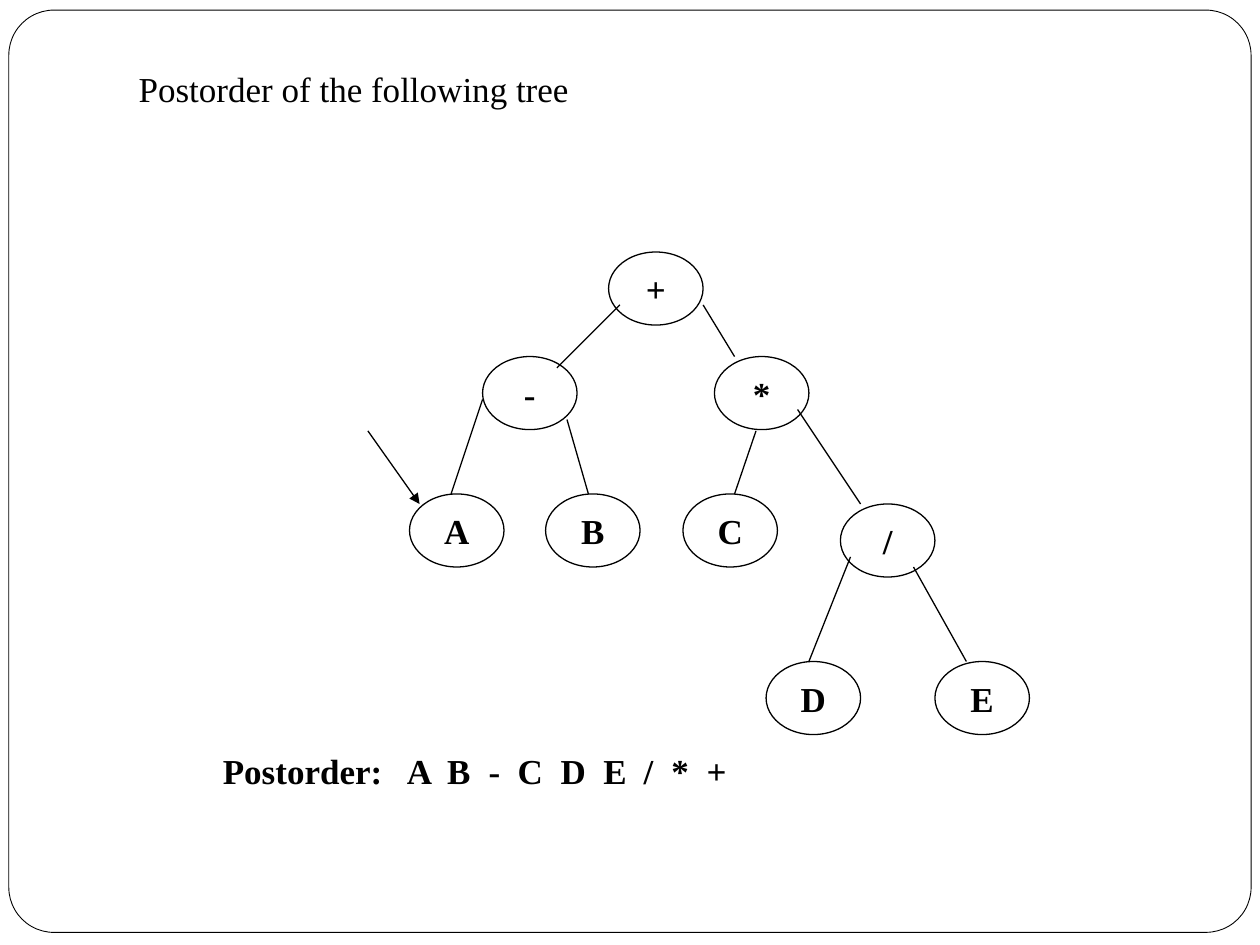
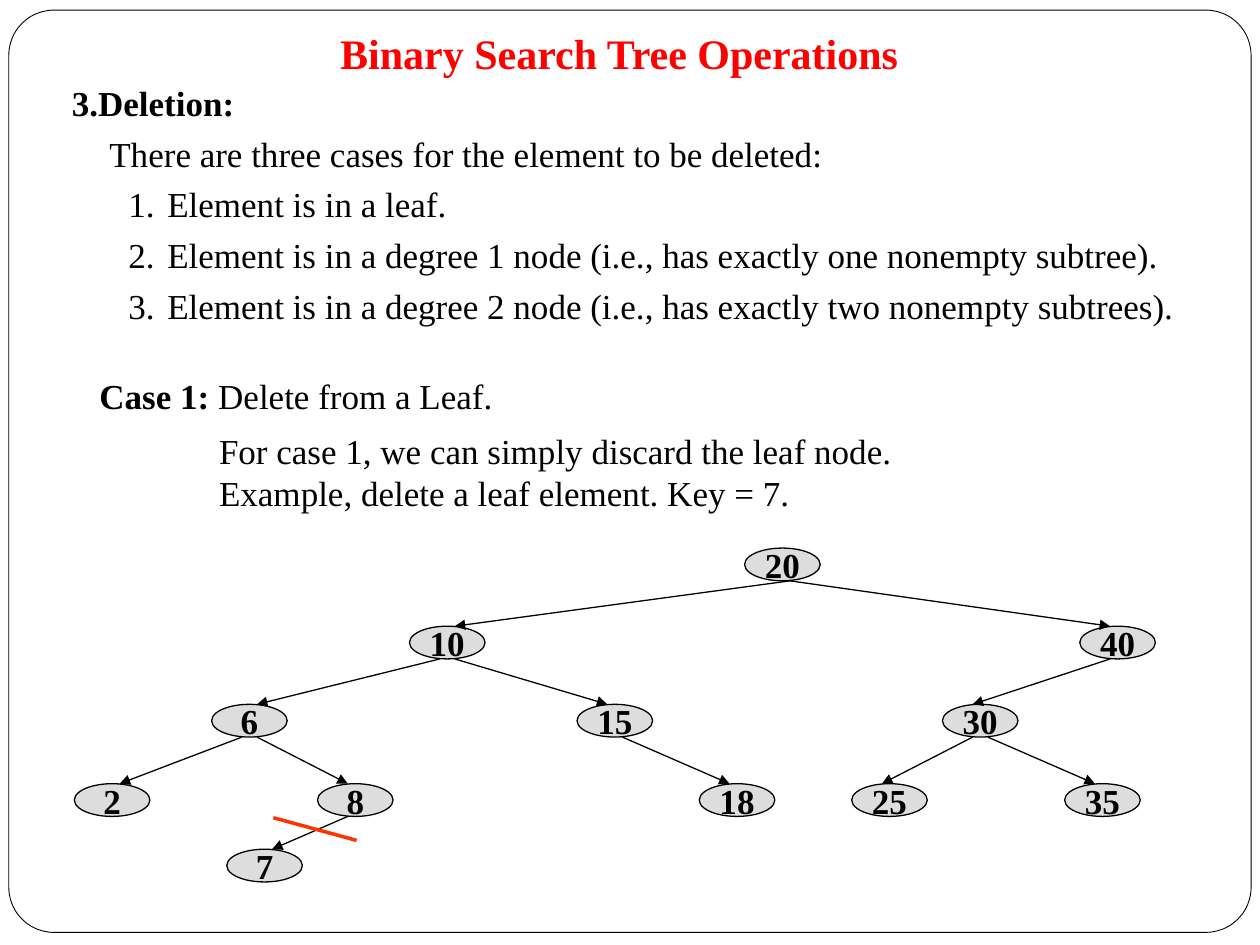
import pptx
import pptx.dml.color
import pptx.enum.shapes
import pptx.enum.text
import pptx.oxml
import pptx.oxml.ns
import pptx.util
from lxml import etree

Inches = pptx.util.Inches
Pt = pptx.util.Pt
SHAPE = pptx.enum.shapes.MSO_SHAPE
ALIGN = pptx.enum.text.PP_ALIGN
ANCHOR = pptx.enum.text.MSO_ANCHOR

FONT = "Times New Roman"
BLACK, WHITE, GREY = "000000", "FFFFFF", "DDDDDD"
HEADING_RED, CUT_RED = "FF0000", "FF3300"
TEXT_SIZE = 20
TITLE_ONLY = 5


def color(hex_string):
    return pptx.dml.color.RGBColor.from_string(hex_string)


def add_xml(parent, tag, **attributes):
    return etree.SubElement(parent, pptx.oxml.ns.qn(tag), attributes)


def add_run(paragraph, text, bold=False, size=TEXT_SIZE, ink=BLACK):
    run = paragraph.add_run()
    run.text = text
    run.font.name = FONT
    run.font.size = Pt(size)
    run.font.bold = bold
    run.font.color.rgb = color(ink)


def place(shape, left, top, width, height):
    shape.left, shape.top = Inches(left), Inches(top)
    shape.width, shape.height = Inches(width), Inches(height)


def outline(shape, width):
    shape.shadow.inherit = False
    shape.line.color.rgb = color(BLACK)
    shape.line.width = Pt(width)


def add_framed_slide(presentation):
    slide = presentation.slides.add_slide(presentation.slide_layouts[TITLE_ONLY])
    frame = slide.shapes.add_shape(
        SHAPE.ROUNDED_RECTANGLE, Inches(0.07), Inches(0.08), Inches(9.86), Inches(7.32))
    frame.adjustments[0] = 0.049
    frame.fill.background()
    outline(frame, 0.5)
    return slide


def set_title(slide, text, box, bold=False):
    title = slide.shapes.title
    place(title, *box)
    text_frame = title.text_frame
    text_frame.auto_size = pptx.enum.text.MSO_AUTO_SIZE.NONE
    text_frame.vertical_anchor = ANCHOR.BOTTOM
    text_frame.margin_bottom = Inches(0.1)
    paragraph = text_frame.paragraphs[0]
    paragraph.alignment = ALIGN.LEFT
    add_run(paragraph, text, bold)


def add_text_box(slide, box, anchor=ANCHOR.TOP):
    """Return the text frame of a new wrapping text box."""
    text_box = slide.shapes.add_textbox(*map(Inches, box))
    text_frame = text_box.text_frame
    text_frame.word_wrap = True
    text_frame.vertical_anchor = anchor
    return text_frame


def add_node(slide, label, box, fill):
    node = slide.shapes.add_shape(SHAPE.OVAL, *map(Inches, box))
    node.fill.solid()
    node.fill.fore_color.rgb = color(fill)
    outline(node, 0.75)
    text_frame = node.text_frame
    text_frame.word_wrap = False
    text_frame.vertical_anchor = ANCHOR.MIDDLE
    paragraph = text_frame.paragraphs[0]
    paragraph.alignment = ALIGN.CENTER
    add_run(paragraph, label, bold=True)


def add_line(slide, start, end, arrow=False, ink=BLACK, width=0.75):
    connector = slide.shapes.add_connector(
        pptx.enum.shapes.MSO_CONNECTOR.STRAIGHT, *map(Inches, (*start, *end)))
    connector.line.color.rgb = color(ink)
    connector.line.width = Pt(width)
    if arrow:
        add_xml(connector.line._get_or_add_ln(), "a:tailEnd", type="triangle")
    add_xml(connector._element.spPr, "a:effectLst")


def indent(paragraph, left, first_line=0):
    properties = paragraph._p.get_or_add_pPr()
    properties.set("marL", str(Inches(left)))
    properties.set("indent", str(Inches(first_line)))
    return properties


def set_tab_stops(paragraph, stops):
    tab_list = add_xml(paragraph._p.get_or_add_pPr(), "a:tabLst")
    for stop in stops:
        add_xml(tab_list, "a:tab", pos=str(Inches(stop)), algn="l")


def build_postorder_slide(presentation):
    slide = add_framed_slide(presentation)
    set_title(slide, "Postorder of the following tree", (1, 0.42, 4, 0.55))

    nodes = {
        "+": (4.83, 2), "-": (3.83, 2.83), "*": (5.67, 2.83),
        "A": (3.25, 3.92), "B": (4.33, 3.92), "C": (5.42, 3.92), "/": (6.67, 4),
        "D": (6.08, 5.25), "E": (7.42, 5.25),
    }
    for label, (left, top) in nodes.items():
        add_node(slide, label, (left, top, 0.75, 0.58), WHITE)

    edges = [
        ((4.92, 2.42), (4.42, 2.92)), ((5.58, 2.42), (5.83, 2.83)),
        ((3.83, 3.17), (3.58, 3.92)), ((4.5, 3.33), (4.67, 3.92)),
        ((6, 3.42), (5.83, 3.92)), ((6.33, 3.25), (6.83, 4)),
        ((6.75, 4.42), (6.42, 5.25)), ((7.25, 4.5), (7.67, 5.25)),
    ]
    for start, end in edges:
        add_line(slide, start, end)
    add_line(slide, (2.92, 3.42), (3.33, 4), arrow=True)

    paragraph = add_text_box(slide, (1.67, 5.9, 4.58, 0.44)).paragraphs[0]
    set_tab_stops(paragraph, (1.46, 1.78, 2.11, 2.34, 2.68, 3.02, 3.34, 3.56, 3.84))
    add_run(paragraph, "\t".join(["Postorder:", *"AB-CDE/*+"]), bold=True)


def add_deletion_cases(slide):
    text_frame = add_text_box(slide, (0.42, 1, 9.17, 1.75))
    introduction = text_frame.paragraphs[0]
    indent(introduction, 0.35)
    add_run(introduction, "There are three cases for the element to be deleted:")
    for case in (
        "Element is in a leaf.",
        "Element is in a degree 1 node (i.e., has exactly one nonempty subtree).",
        "Element is in a degree 2 node (i.e., has exactly two nonempty subtrees).",
    ):
        paragraph = text_frame.add_paragraph()
        paragraph.space_before = Pt(5)
        add_xml(indent(paragraph, 0.81, -0.31), "a:buAutoNum", type="arabicPeriod")
        add_run(paragraph, case)


def add_search_tree(slide):
    node_width, node_height, lean = 0.6, 0.26, 0.06
    rows = (4.35, 4.97, 5.59, 6.22, 6.74)
    # key: (centre, row)
    nodes = {
        20: (6.21, 0), 10: (3.55, 1), 40: (8.87, 1),
        6: (1.98, 2), 15: (4.88, 2), 30: (7.78, 2),
        2: (0.89, 3), 8: (2.82, 3), 18: (5.85, 3), 25: (7.06, 3), 35: (8.75, 3),
        7: (2.1, 4),
    }
    for key, (center, row) in nodes.items():
        box = (center - node_width / 2, rows[row], node_width, node_height)
        add_node(slide, str(key), box, GREY)

    # parent, child, and the side of the centre (-1 left, 1 right) at each end
    edges = [
        (20, 10, 1, 1), (20, 40, 1, -1), (10, 6, -1, 1), (10, 15, 1, -1),
        (40, 30, -1, -1), (6, 2, -1, 1), (6, 8, 1, -1), (15, 18, 1, -1),
        (30, 25, -1, -1), (30, 35, 1, -1), (8, 7, -1, 1),
    ]
    for parent, child, start_side, end_side in edges:
        parent_center, parent_row = nodes[parent]
        child_center, child_row = nodes[child]
        start = (parent_center + start_side * lean, rows[parent_row] + node_height)
        end = (child_center + end_side * lean, rows[child_row])
        add_line(slide, start, end, arrow=True)
    add_line(slide, (2.17, 6.49), (2.83, 6.67), ink=CUT_RED, width=2)


def build_deletion_slide(presentation):
    slide = add_framed_slide(presentation)
    set_title(slide, "3.Deletion:", (0.47, 0.52, 1.61, 0.56), bold=True)
    add_deletion_cases(slide)

    case = add_text_box(slide, (0.69, 2.91, 6.89, 0.45), ANCHOR.MIDDLE).paragraphs[0]
    add_run(case, "Case 1: ", bold=True)
    add_run(case, "Delete from a Leaf.")

    explanation = add_text_box(slide, (1.64, 3.36, 5.54, 0.77))
    add_run(explanation.paragraphs[0], "For case 1, we can simply discard the leaf node.")
    add_run(explanation.add_paragraph(), "Example, delete a leaf element. Key = 7.")

    add_search_tree(slide)

    heading = add_text_box(slide, (0.5, 0.17, 8.83, 0.58)).paragraphs[0]
    heading.alignment = ALIGN.CENTER
    add_run(heading, "Binary Search Tree Operations", bold=True, size=24, ink=HEADING_RED)


def main():
    presentation = pptx.Presentation()
    presentation.slide_width = Inches(10)
    presentation.slide_height = Inches(7.5)
    build_postorder_slide(presentation)
    build_deletion_slide(presentation)
    presentation.save("out.pptx")


if __name__ == "__main__":
    main()
